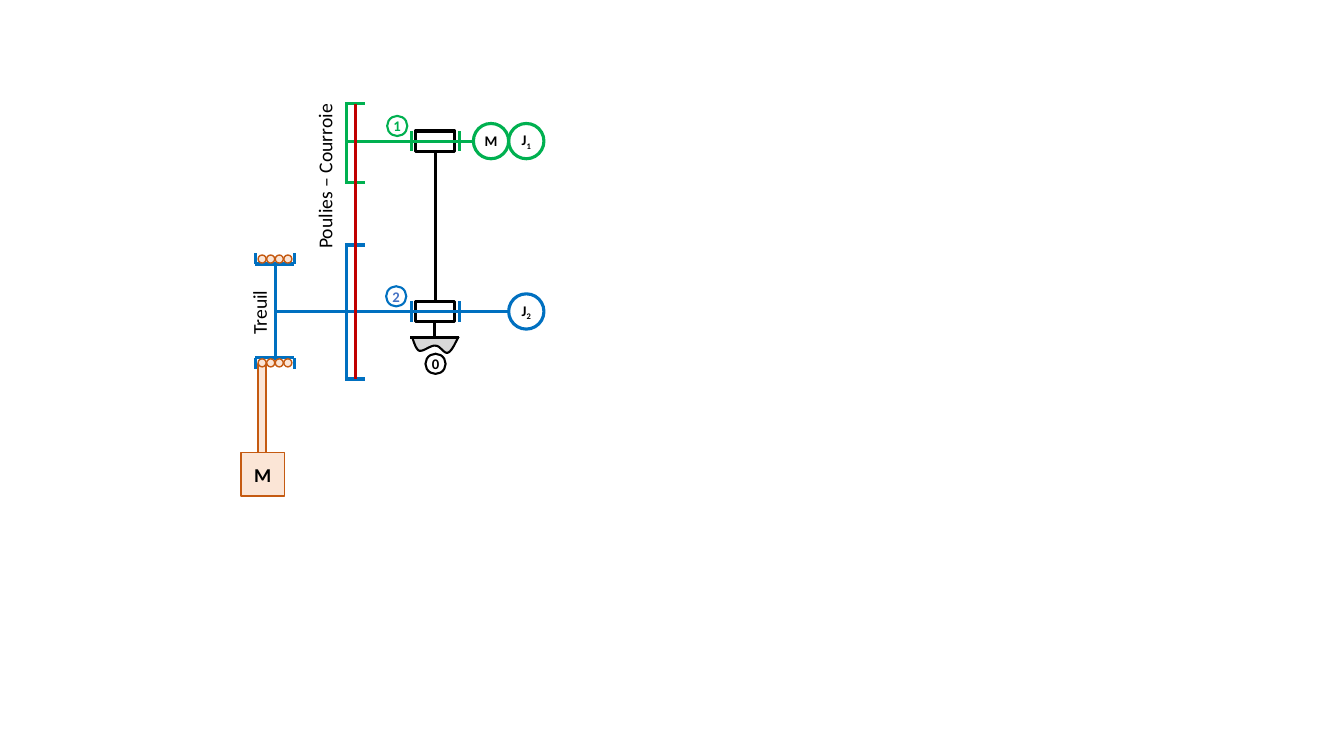
from lxml.etree import SubElement
from pptx import Presentation
from pptx.dml.color import RGBColor
from pptx.enum.shapes import MSO_CONNECTOR, MSO_SHAPE
from pptx.enum.text import MSO_ANCHOR, PP_ALIGN
from pptx.oxml.ns import qn
from pptx.util import Inches, Pt

BLACK = RGBColor(0x00, 0x00, 0x00)
WHITE = RGBColor(0xFF, 0xFF, 0xFF)
GREEN = RGBColor(0x00, 0xB0, 0x50)
BLUE = RGBColor(0x00, 0x70, 0xC0)
NUMBER_BLUE = RGBColor(0x44, 0x72, 0xC4)
BELT_RED = RGBColor(0xC0, 0x00, 0x00)
GROUND_GREY = RGBColor(0xD9, 0xD9, 0xD9)
ROPE_FILL = RGBColor(0xFB, 0xE5, 0xD6)
ROPE_EDGE = RGBColor(0xC5, 0x5A, 0x11)

BELT_X = 3.53
DRUM_X = 2.73
COLUMN_X = 4.32
MOTOR_Y = 1.4
WINCH_Y = 3.09
ROPE_LEFT = 2.56
ROPE_WIDTH = 0.08


class Diagram:
    font_name = "Calibri"
    thick, medium, thin = 2.25, 1.5, 1

    def __init__(self, slide):
        self.shapes = slide.shapes

    def line(self, x1, y1, x2, y2, color):
        segment = self.shapes.add_connector(
            MSO_CONNECTOR.STRAIGHT, Inches(x1), Inches(y1), Inches(x2), Inches(y2))
        segment.line.color.rgb = color
        segment.line.width = Pt(self.thick)
        SubElement(segment._element.spPr, qn("a:effectLst"))

    def paint(self, shape, fill, edge, width):
        shape.shadow.inherit = False
        if fill is None:
            shape.fill.background()
        else:
            shape.fill.solid()
            shape.fill.fore_color.rgb = fill
        shape.line.color.rgb = edge
        shape.line.width = Pt(width)

    def shape(self, kind, left, top, width, height, fill, edge, weight):
        item = self.shapes.add_shape(
            kind, Inches(left), Inches(top), Inches(width), Inches(height))
        self.paint(item, fill, edge, weight)
        return item

    def add_text(self, shape, text, size, color=BLACK, bold=True, index=""):
        """Centre the text in the shape, followed by an optional subscript."""
        frame = shape.text_frame
        frame.margin_left = frame.margin_right = 0
        frame.margin_top = frame.margin_bottom = 0
        frame.word_wrap = False
        frame.vertical_anchor = MSO_ANCHOR.MIDDLE
        paragraph = frame.paragraphs[0]
        paragraph.alignment = PP_ALIGN.CENTER
        for content, baseline in ((text, None), (index, "-25000")):
            if not content:
                continue
            run = paragraph.add_run()
            run.text = content
            run.font.name = self.font_name
            run.font.size = Pt(size)
            run.font.bold = bold
            run.font.color.rgb = color
            if baseline:
                run.font._element.set("baseline", baseline)

    def circle(self, x, y, diameter, edge, weight, text, color=BLACK, index="", fill=None):
        disc = self.shape(MSO_SHAPE.OVAL, x - diameter / 2, y - diameter / 2,
                          diameter, diameter, fill, edge, weight)
        self.add_text(disc, text, 10.5, color, index=index)

    def part_number(self, x, y, number, edge, color):
        self.circle(x, y, 0.2, edge, self.medium, number, color)

    def inertia(self, x, y, edge, text, index="", fill=None):
        self.circle(x, y, 0.35, edge, self.thick, text, index=index, fill=fill)

    def vertical_label(self, x, y, length, text):
        height = 0.24
        label = self.shapes.add_textbox(Inches(x - length / 2), Inches(y - height / 2),
                                        Inches(length), Inches(height))
        label.rotation = 270
        self.add_text(label, text, 14, bold=False)

    def bearing(self, y, color):
        self.shape(MSO_SHAPE.RECTANGLE, COLUMN_X - 0.2, y - 0.1, 0.39, 0.2,
                   WHITE, BLACK, self.thick)
        for x in (COLUMN_X - 0.24, COLUMN_X + 0.24):
            self.line(x, y - 0.1, x, y + 0.1, color)

    def pulley(self, top, bottom, color):
        self.line(3.44, top, 3.44, bottom, color)
        for y in (top, bottom):
            self.line(3.42, y, 3.62, y, color)

    def drum_flange(self, y, tip):
        """Draw one rim of the drum, its edges reaching from y to tip."""
        self.line(2.53, y, 2.92, y, BLUE)
        for x in (2.53, 2.92):
            self.line(x, y, x, tip, BLUE)

    def rope_turns(self, top):
        for turn in range(4):
            self.shape(MSO_SHAPE.OVAL, ROPE_LEFT + turn * 0.085, top, ROPE_WIDTH,
                       ROPE_WIDTH, ROPE_FILL, ROPE_EDGE, self.thin)

    def curve(self, start, beziers, fill, edge, weight):
        """Draw an open filled outline through cubic Bezier segments."""
        steps = 10
        points, origin = [], start
        for segment in beziers:
            controls = (origin, *segment)
            for step in range(1, steps + 1):
                t = step / steps
                weights = ((1 - t) ** 3, 3 * t * (1 - t) ** 2, 3 * t ** 2 * (1 - t), t ** 3)
                points.append(tuple(sum(w * c[axis] for w, c in zip(weights, controls))
                                    for axis in (0, 1)))
            origin = segment[-1]
        # Whole thousandths of an inch, since the builder rounds local units
        units = 1000
        builder = self.shapes.build_freeform(
            start[0] * units, start[1] * units, scale=Inches(1) / units)
        builder.add_line_segments([(x * units, y * units) for x, y in points], close=False)
        self.paint(builder.convert_to_shape(), fill, edge, weight)


def main():
    presentation = Presentation()
    presentation.slide_width = Inches(13.33)
    presentation.slide_height = Inches(7.5)
    diagram = Diagram(presentation.slides.add_slide(presentation.slide_layouts[6]))

    # Hanging rope
    diagram.shape(MSO_SHAPE.RECTANGLE, ROPE_LEFT, 3.61, ROPE_WIDTH, 1.31,
                  ROPE_FILL, ROPE_EDGE, diagram.thin)

    # Ground and frame
    diagram.curve((4.09, 3.35), [
        ((4.11, 3.41), (4.13, 3.47), (4.16, 3.48)),
        ((4.2, 3.49), (4.28, 3.42), (4.32, 3.43)),
        ((4.37, 3.43), (4.4, 3.51), (4.44, 3.5)),
        ((4.48, 3.49), (4.51, 3.41), (4.55, 3.34)),
    ], GROUND_GREY, BLACK, diagram.medium)
    diagram.line(4.31, 3.19, 4.31, 3.34, BLACK)
    diagram.line(4.07, 3.35, 4.55, 3.35, BLACK)
    diagram.bearing(WINCH_Y, BLUE)
    diagram.line(COLUMN_X, 1.5, COLUMN_X, 2.99, BLACK)
    diagram.part_number(4.32, 3.61, "0", BLACK, BLACK)

    # Motor shaft
    diagram.bearing(MOTOR_Y, GREEN)
    diagram.line(3.42, MOTOR_Y, 5.05, MOTOR_Y, GREEN)
    diagram.inertia(5.22, MOTOR_Y, GREEN, "J", "1")
    diagram.inertia(4.87, MOTOR_Y, GREEN, "M", fill=WHITE)
    diagram.pulley(1.03, 1.81, GREEN)
    diagram.part_number(3.94, 1.25, "1", GREEN, GREEN)

    # Winch shaft
    diagram.line(DRUM_X, WINCH_Y, 5.05, WINCH_Y, BLUE)
    diagram.inertia(5.22, WINCH_Y, BLUE, "J", "2")
    diagram.pulley(2.43, 3.76, BLUE)
    diagram.part_number(3.93, 2.94, "2", BLUE, NUMBER_BLUE)

    # Belt
    diagram.line(BELT_X, 1.03, BELT_X, 3.76, BELT_RED)
    diagram.vertical_label(3.22, 1.75, 1.45, "Poulies – Courroie")

    # Winch drum and load
    diagram.line(DRUM_X, 2.62, DRUM_X, 3.57, BLUE)
    diagram.drum_flange(2.62, 2.51)
    diagram.drum_flange(3.55, 3.66)
    for top in (2.53, 3.56):
        diagram.rope_turns(top)
    load = diagram.shape(MSO_SHAPE.RECTANGLE, 2.39, 4.49, 0.43, 0.43,
                         ROPE_FILL, ROPE_EDGE, diagram.thin)
    diagram.add_text(load, "M", 14)
    diagram.vertical_label(2.57, 3.1, 0.68, "Treuil")

    presentation.save("out.pptx")


if __name__ == "__main__":
    main()
